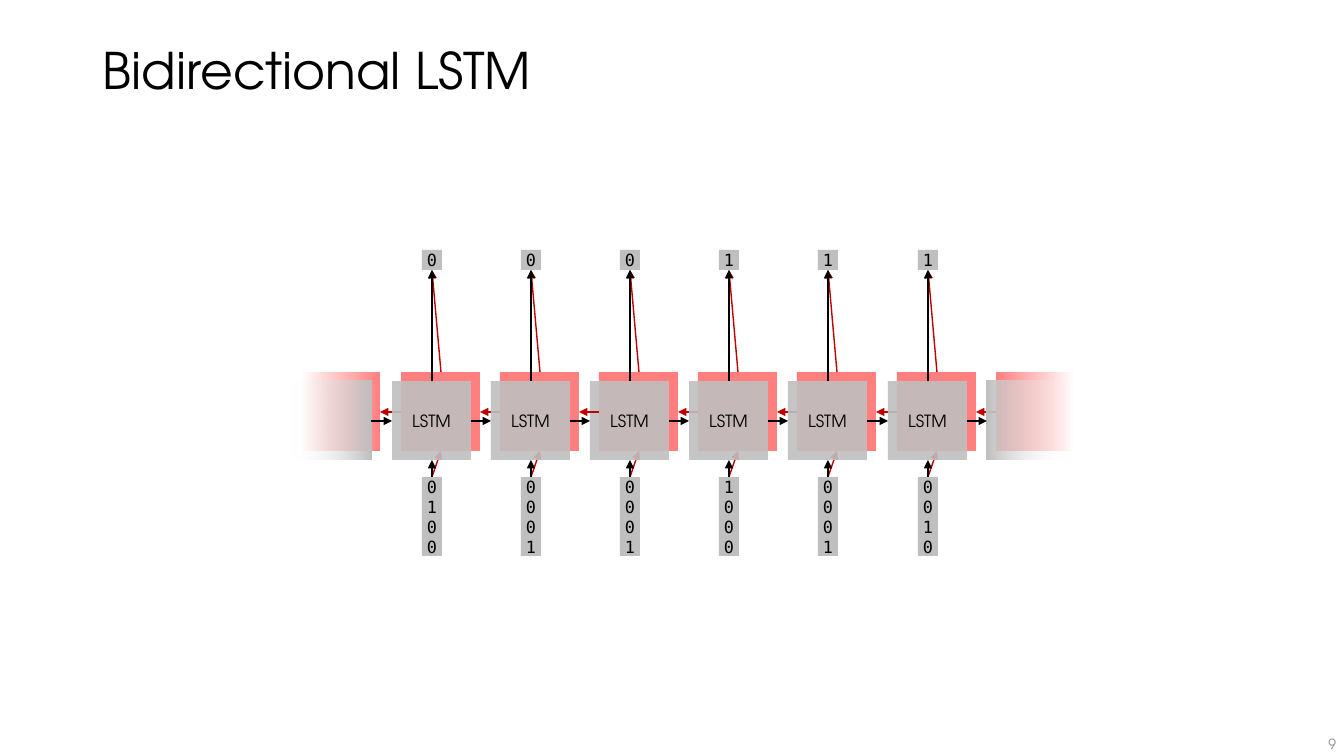
from lxml import etree
from pptx import Presentation
from pptx.dml.color import RGBColor
from pptx.enum.shapes import MSO_CONNECTOR, MSO_SHAPE
from pptx.enum.text import MSO_ANCHOR, PP_ALIGN
from pptx.oxml.ns import qn
from pptx.util import Emu, Pt

RECT, STRAIGHT = MSO_SHAPE.RECTANGLE, MSO_CONNECTOR.STRAIGHT
LEFT, CENTER, RIGHT = PP_ALIGN.LEFT, PP_ALIGN.CENTER, PP_ALIGN.RIGHT
MIDDLE, BOTTOM = MSO_ANCHOR.MIDDLE, MSO_ANCHOR.BOTTOM

SCALE = 914400 / 100.8
SANS, MONO = "TeX Gyre Adventor", "DejaVu Sans Mono"
BLACK, GRAY, PINK, RED, WHITE = "000000", "BFBFBF", "FF7F7F", "C00000", "FFFFFF"

OUTPUTS = "000111"
INPUTS = ["0100", "0001", "0001", "1000", "0001", "0010"]
FIRST, LAST = 432, 928  # centres of the outer columns
CELL, HALF = 79, 40
SHIFT = 9  # backward layer lies this far right of and above the forward one
CELL_Y, OUT_Y, IN_Y, BIT = 381, 250, 477, 20


def px(n):
    return Emu(round(n * SCALE))


def rgb(color):
    return RGBColor.from_string(color)


def center(i):
    return FIRST + (LAST - FIRST) * i // (len(INPUTS) - 1)


def set_alpha(color_el, percent):
    etree.SubElement(color_el, qn("a:alpha")).set("val", str(percent * 1000))


def write(s, text, font=SANS, size=12, color=BLACK, align=CENTER,
          anchor=MIDDLE, inset=(0, 0), spacing=1.0):
    tf = s.text_frame
    tf.word_wrap = True
    tf.vertical_anchor = anchor
    tf.margin_left = tf.margin_right = px(inset[0])
    tf.margin_top = tf.margin_bottom = px(inset[1])
    for n, line in enumerate(text.split("\n")):
        p = tf.add_paragraph() if n else tf.paragraphs[0]
        p.alignment, p.line_spacing = align, spacing
        r = p.add_run()
        r.text = line
        r.font.name, r.font.size = font, Pt(size)
        r.font.color.rgb = rgb(color)


def add_text(slide, x, y, w, h, text, **fmt):
    write(slide.shapes.add_textbox(px(x), px(y), px(w), px(h)), text, **fmt)


def add_box(slide, x, y, w, h, color=None):
    s = slide.shapes.add_shape(RECT, px(x), px(y), px(w), px(h))
    s.shadow.inherit = False
    s.line.fill.background()
    if color:
        s.fill.solid()
        s.fill.fore_color.rgb = rgb(color)
    return s


def add_fade(slide, x, y, colors, clear=False):
    s = add_box(slide, x, y, CELL, CELL)
    s.fill.gradient()
    s.fill.gradient_angle = 0
    for stop, position, color in zip(s.fill.gradient_stops, (0, 1), colors):
        stop.position = position
        stop.color.rgb = rgb(color)
    if clear:
        for el in s.element.iter(qn("a:srgbClr")):
            if el.get("val") == WHITE:
                set_alpha(el, 0)


def add_arrow(slide, x1, y1, x2, y2, color):
    c = slide.shapes.add_connector(STRAIGHT, px(x1), px(y1), px(x2), px(y2))
    c.line.color.rgb = rgb(color)
    c.line.width = Pt(1)
    etree.SubElement(c.line._get_or_add_ln(), qn("a:tailEnd")).set("type", "triangle")
    etree.SubElement(c.element.spPr, qn("a:effectLst"))


def add_fades(slide, shift, color, clear):
    for i, colors in ((-1, (WHITE, color)), (len(INPUTS), (color, WHITE))):
        add_fade(slide, center(i) - HALF + shift, CELL_Y - shift, colors, clear)


def add_backward_link(slide, i):
    y = CELL_Y - SHIFT + HALF
    add_arrow(slide, center(i) - HALF + SHIFT, y,
              center(i - 1) - HALF + SHIFT + CELL, y, RED)


def add_column_arrows(slide, i, shift, color):
    x = center(i)
    add_arrow(slide, x + shift, CELL_Y - shift, x, OUT_Y + BIT, color)
    add_arrow(slide, x, IN_Y, x + shift, CELL_Y - shift + CELL, color)


def add_backward_layer(slide):
    add_fades(slide, SHIFT, PINK, clear=False)
    for i in range(len(INPUTS)):
        add_box(slide, center(i) - HALF + SHIFT, CELL_Y - SHIFT, CELL, CELL, PINK)
        add_column_arrows(slide, i, SHIFT, RED)
    for i in range(len(INPUTS) + 1):
        if i != 2:
            add_backward_link(slide, i)


def add_bits(slide):
    for i, (out, bits) in enumerate(zip(OUTPUTS, INPUTS)):
        x = center(i) - BIT // 2
        write(add_box(slide, x, OUT_Y, BIT, BIT, GRAY), out, font=MONO)
        write(add_box(slide, x, IN_Y, BIT, CELL, GRAY), "\n".join(bits), font=MONO)


def add_forward_layer(slide):
    add_fades(slide, 0, GRAY, clear=True)
    for i in range(len(INPUTS)):
        s = add_box(slide, center(i) - HALF, CELL_Y, CELL, CELL, GRAY)
        set_alpha(next(s.element.iter(qn("a:srgbClr"))), 90)
        write(s, "LSTM")
        add_column_arrows(slide, i, 0, BLACK)
    y = CELL_Y + HALF
    for i in range(len(INPUTS) + 1):
        add_arrow(slide, center(i - 1) - HALF + CELL, y, center(i) - HALF, y, BLACK)


def main():
    prs = Presentation()
    prs.slide_width, prs.slide_height = px(1344), px(756)
    slide = prs.slides.add_slide(prs.slide_layouts[6])

    # Title and page number
    add_text(slide, 93, 0, 1159, 146, "Bidirectional LSTM", size=36,
             align=LEFT, inset=(10, 5), spacing=0.9)
    add_text(slide, 1288, 716, 56, 40, "9", size=10, color="8C8C8C",
             align=RIGHT, anchor=BOTTOM, inset=(8, 4))

    # Network, from back to front
    add_backward_layer(slide)
    add_bits(slide)
    add_forward_layer(slide)
    add_backward_link(slide, 2)  # this link lies above the forward cells

    prs.save("out.pptx")


main()
